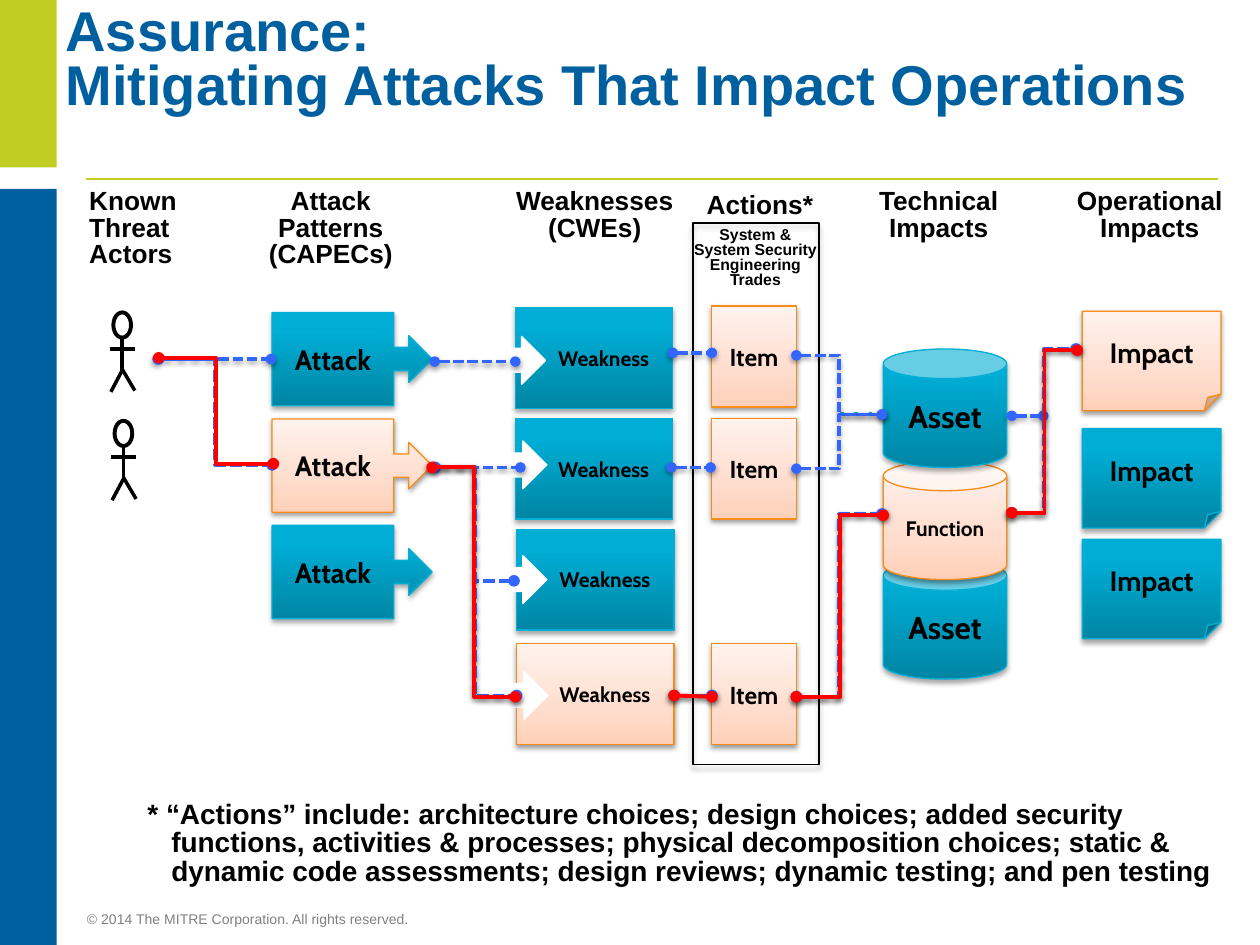
import pptx
import pptx.util
import pptx.dml.color
import pptx.enum.shapes
import pptx.enum.text
import pptx.oxml
import pptx.oxml.ns

SHAPE = pptx.enum.shapes.MSO_SHAPE
LINK = pptx.enum.shapes.MSO_CONNECTOR
ALIGN = pptx.enum.text.PP_ALIGN
ANCHOR = pptx.enum.text.MSO_ANCHOR
qn = pptx.oxml.ns.qn

LIME, NAVY, BLACK, WHITE = "C1CD23", "005F9E", "000000", "FFFFFF"
BLUE, RED, CYAN = "3366FF", "FF0000", "00B3DC"
# Gradient stops, outline, and shadow (opacity %, blur pt, distance pt)
TEAL = dict(stops=[(0, "0086A4"), (80, "00ADD5"), (100, "00AED6")],
            line="00AFD7", shadow=(35, 3.1, 1.8))
PEACH = dict(stops=[(0, "FFD0B9"), (35, "FFDDCE"), (100, "FFF2ED")],
             line="F78D18", shadow=(38, 3.1, 1.6))


def color(hex_value):
    return pptx.dml.color.RGBColor.from_string(hex_value)


def element(parent, tag, **attributes):
    child = pptx.oxml.parse_xml(f'<{tag} {pptx.oxml.ns.nsdecls("a")}/>')
    for key, value in attributes.items():
        child.set(key, str(value))
    parent.append(child)
    return child


class Diagram:
    """Style and current slide; boxes are (column, row, columns, rows)."""
    COLUMNS, ROWS = 100, 75

    def __init__(self, deck):
        self.cell_w = deck.slide_width / self.COLUMNS
        self.cell_h = deck.slide_height / self.ROWS
        self.slide = deck.slides.add_slide(deck.slide_layouts[1])
        self.shapes = self.slide.shapes

    def emu(self, *grid):
        return [int(v * (self.cell_h if i % 2 else self.cell_w))
                for i, v in enumerate(grid)]

    def shadow(self, properties, opacity, blur, distance):
        effects = properties.find(qn("a:effectLst"))
        outer = element(effects, "a:outerShdw", blurRad=int(blur * 12700),
                        dist=int(distance * 12700), dir=5400000, rotWithShape=0)
        tint = element(outer, "a:srgbClr", val=BLACK)
        element(tint, "a:alpha", val=opacity * 1000)

    def set_text(self, shape, lines, size, ink=BLACK, font="Arial", bold=True,
                 align=ALIGN.CENTER, anchor=ANCHOR.TOP, spacing=1, wrap=True,
                 hanging=0, insets=(0.1, 0.05, 0.1, 0.05)):
        frame = shape.text_frame
        layout = dict(auto_size=pptx.enum.text.MSO_AUTO_SIZE.NONE,
                      word_wrap=wrap, vertical_anchor=anchor)
        sides = ("margin_left", "margin_top", "margin_right", "margin_bottom")
        layout.update(zip(sides, map(pptx.util.Inches, insets)))
        for key, value in layout.items():
            setattr(frame, key, value)
        for number, line in enumerate(lines):
            paragraph = frame.add_paragraph() if number else frame.paragraphs[0]
            paragraph.alignment, paragraph.line_spacing = align, spacing
            paragraph.space_before = pptx.util.Pt(0)
            settings = paragraph._p.get_or_add_pPr()
            indent = pptx.util.Inches(hanging)
            settings.set("marL", str(indent))
            settings.set("indent", str(-indent))
            element(settings, "a:buNone")
            run = paragraph.add_run()
            run.text = line
            for key, value in dict(name=font, size=pptx.util.Pt(size), bold=bold).items():
                setattr(run.font, key, value)
            run.font.color.rgb = color(ink)

    def placeholder(self, shape, box, lines, size, **style):
        for key, value in zip(("left", "top", "width", "height"), self.emu(*box)):
            setattr(shape, key, value)
        self.set_text(shape, lines, size, align=ALIGN.LEFT, **style)

    def label(self, box, lines, size=15, spacing=0.85, **style):
        text = self.shapes.add_textbox(*self.emu(*box))
        self.set_text(text, lines, size, spacing=spacing, **style)

    def shape(self, kind, box, fill=None, line=None, weight=0.75, shadow=None, parent=None):
        item = (parent or self.shapes).add_shape(kind, *self.emu(*box))
        item.shadow.inherit = False
        if fill:
            item.fill.solid()
            item.fill.fore_color.rgb = color(fill)
        else:
            item.fill.background()
        if line:
            item.line.color.rgb = color(line)
            item.line.width = pptx.util.Pt(weight)
        else:
            item.line.fill.background()
        if shadow:
            self.shadow(item._element.spPr, *shadow)
        return item

    def card(self, kind, box, name, size, look, adjust=(), left_inset=0.1):
        item = self.shape(kind, box, line=look["line"], shadow=look["shadow"])
        for number, value in enumerate(adjust):
            item.adjustments[number] = value
        item.fill.gradient()
        gradient = item._element.spPr.find(qn("a:gradFill"))
        for child in list(gradient):
            gradient.remove(child)
        stops = element(gradient, "a:gsLst")
        for position, tint in look["stops"]:
            stop = element(stops, "a:gs", pos=position * 1000)
            element(stop, "a:srgbClr", val=tint)
        element(gradient, "a:lin", ang=270 * 60000, scaled=0)
        self.set_text(item, [name], size, font="Cabin", anchor=ANCHOR.MIDDLE,
                      insets=(left_inset, 0.05, 0.1, 0.05))

    def connect(self, ends, ink, weight=2.25, bent=False, dash=None,
                dots=False, shadow=None, parent=None):
        kind = LINK.ELBOW if bent else LINK.STRAIGHT
        link = (parent or self.shapes).add_connector(kind, *self.emu(*ends))
        link.line.color.rgb = color(ink)
        link.line.width = pptx.util.Pt(weight)
        properties = link._element.spPr
        stroke = properties.find(qn("a:ln"))
        if dash:
            element(stroke, "a:prstDash", val=dash)
        if dots:
            element(stroke, "a:headEnd", type="oval")
            element(stroke, "a:tailEnd", type="oval")
        element(properties, "a:effectLst")
        if shadow:
            self.shadow(properties, *shadow)

    def actor(self, x, y):
        person = self.shapes.add_group_shape().shapes
        self.shape(SHAPE.OVAL, (x - 0.7, y, 1.4, 2), line=BLACK, weight=2.25, parent=person)
        for dx1, dy1, dx2, dy2, weight in [(0, 2, 0, 4.6, 2.25), (-1, 2.9, 1, 2.9, 2.25),
                                           (0, 4.6, -0.9, 6.3, 2), (0, 4.5, 1, 6.2, 2)]:
            self.connect((x + dx1, y + dy1, x + dx2, y + dy2), BLACK, weight, parent=person)


def main():
    deck = pptx.Presentation()
    deck.slide_width, deck.slide_height = pptx.util.Inches(10), pptx.util.Inches(7.5)
    d = Diagram(deck)

    # Page frame, title and footnote
    d.connect((6.8, 14.2, 96.7, 14.2), LIME, 1)
    d.shape(SHAPE.RECTANGLE, (0, 0, 4.5, 13.3), LIME)
    d.shape(SHAPE.RECTANGLE, (0, 15, 4.5, 60), NAVY)
    d.label((6.9, 72.3, 63.1, 1.3), ["© 2014 The MITRE Corporation. All rights reserved."], 8,
            spacing=1, ink="808080", bold=False, align=ALIGN.LEFT, insets=(0, 0, 0, 0))
    d.placeholder(d.shapes.title, (4.2, 0.2, 95.8, 9.8),
                  ["Assurance:", "Mitigating Attacks That Impact Operations"],
                  32, ink=NAVY, spacing=0.8)
    d.placeholder(d.slide.placeholders[1], (10.7, 63.1, 87.4, 7.9),
                  ["* “Actions” include: architecture choices; design choices; added security "
                   "functions, activities & processes; physical decomposition choices; static & "
                   "dynamic code assessments; design reviews; dynamic testing; and pen testing"],
                  16, spacing=0.85, hanging=0.19)

    # Threat actors
    d.actor(9.7, 24.8)
    d.actor(9.8, 33.4)

    # Weaknesses, each with a white notch arrow
    weaknesses = [(40.9, 24.4, 26.7, TEAL), (40.9, 33.2, 35, TEAL),
                  (41, 42, 44.1, TEAL), (41, 51.1, 53.3, PEACH)]
    for x, y, notch_y, look in weaknesses:
        d.card(SHAPE.RECTANGLE, (x, y, 12.5, 8), "Weakness", 12, look, left_inset=0.25)
    for number, (x, y, notch_y, look) in enumerate(weaknesses):
        d.shape(SHAPE.RIGHT_ARROW, (36.6 + (number + 1) // 2 * 0.1, notch_y, 6.7, 3.8),
                WHITE, WHITE)

    # Attacks, items, assets and impacts
    for number, look in enumerate((TEAL, PEACH, TEAL)):
        d.card(SHAPE.RIGHT_ARROW_CALLOUT, (21.6, 24.8 + 8.45 * number, 12.7, 7.4),
               "Attack", 16, look, adjust=(0.25, 0.25, 0.25, 0.76))
    for y in (24.3, 33.2, 51.1):
        d.card(SHAPE.RECTANGLE, (56.5, y, 6.7, 8), "Item", 14, PEACH)
    for y, name, size, look in [(44.5, "Asset", 18, TEAL), (36.6, "Function", 12, PEACH),
                                (27.7, "Asset", 18, TEAL)]:
        d.card(SHAPE.CAN, (70.1, y, 9.8, 9.4), name, size, look)
    for y, look in [(24.7, PEACH), (34, TEAL), (42.8, TEAL)]:
        d.card(SHAPE.FOLDED_CORNER, (85.9, y, 11, 7.9), "Impact", 16, look)

    # Column headings
    d.label((6.1, 14.5, 9.2, 7.5), ["Known", "Threat", "Actors"], align=ALIGN.LEFT, wrap=False)
    d.label((18.3, 14.5, 15.9, 7.5), ["Attack Patterns", "(CAPECs)"])
    d.label((39.9, 14.5, 14.6, 5.4), ["Weaknesses", "(CWEs)"], wrap=False)
    d.label((55.1, 14.8, 10.7, 3.2), ["Actions*"], align=ALIGN.LEFT, wrap=False)
    d.label((68.7, 14.5, 11.6, 5.4), ["Technical", "Impacts"], wrap=False)
    d.label((82.9, 14.5, 16.7, 5.4), ["Operational Impacts"])

    # Actions frame
    d.shape(SHAPE.RECTANGLE, (55, 17.7, 10, 43), line=BLACK, shadow=TEAL["shadow"])
    d.label((54, 17.6, 11.9, 5.9), ["System & System Security Engineering", "Trades"],
            9, spacing=0.8)

    # Possible paths, dashed
    soft = PEACH["shadow"]
    d.connect((66.7, 32.8, 69.8, 32.8), CYAN, 2, dash="dot", shadow=soft)
    for ends in [(12.5, 28.5, 21.5, 28.5), (53.4, 28, 56.5, 28), (53.3, 37.1, 56.4, 37.1),
                 (34.6, 37.1, 41.3, 37.1), (80.3, 33, 82.8, 33), (34.5, 28.7, 40.9, 28.7)]:
        d.connect(ends, BLUE, 2, dash="sysDash", dots=True, shadow=soft)
    for ends, weight, shadow in [
            ((12.6, 28.5, 21.6, 36.9), 2.25, None), ((63.2, 55.3, 70, 40.8), 2.25, soft),
            ((80.3, 40.7, 85.4, 27.7), 2.25, soft), ((63.2, 28.2, 70, 32.9), 2, soft),
            ((63.2, 37.2, 70, 32.9), 2, soft), ((34.5, 37.1, 40.8, 46.1), 2.25, None),
            ((34.4, 37.1, 41, 55.2), 2.25, soft)]:
        d.connect(ends, BLUE, weight, True, "sysDash", True, shadow)
    d.connect((53.5, 55.2, 56.5, 55.2), BLUE, dash="sysDash", dots=True, shadow=soft)

    # Attack path in focus, solid
    for ends, bent, shadow in [
            ((12.6, 28.4, 21.7, 36.8), True, None), ((34.3, 37.1, 40.9, 55.3), True, soft),
            ((53.5, 55.2, 56.5, 55.3), False, soft), ((63.2, 55.3, 70.1, 40.9), True, soft),
            ((80.3, 40.7, 85.5, 27.8), True, soft)]:
        d.connect(ends, RED, bent=bent, dots=True, shadow=shadow)

    deck.save("out.pptx")


if __name__ == "__main__":
    main()
